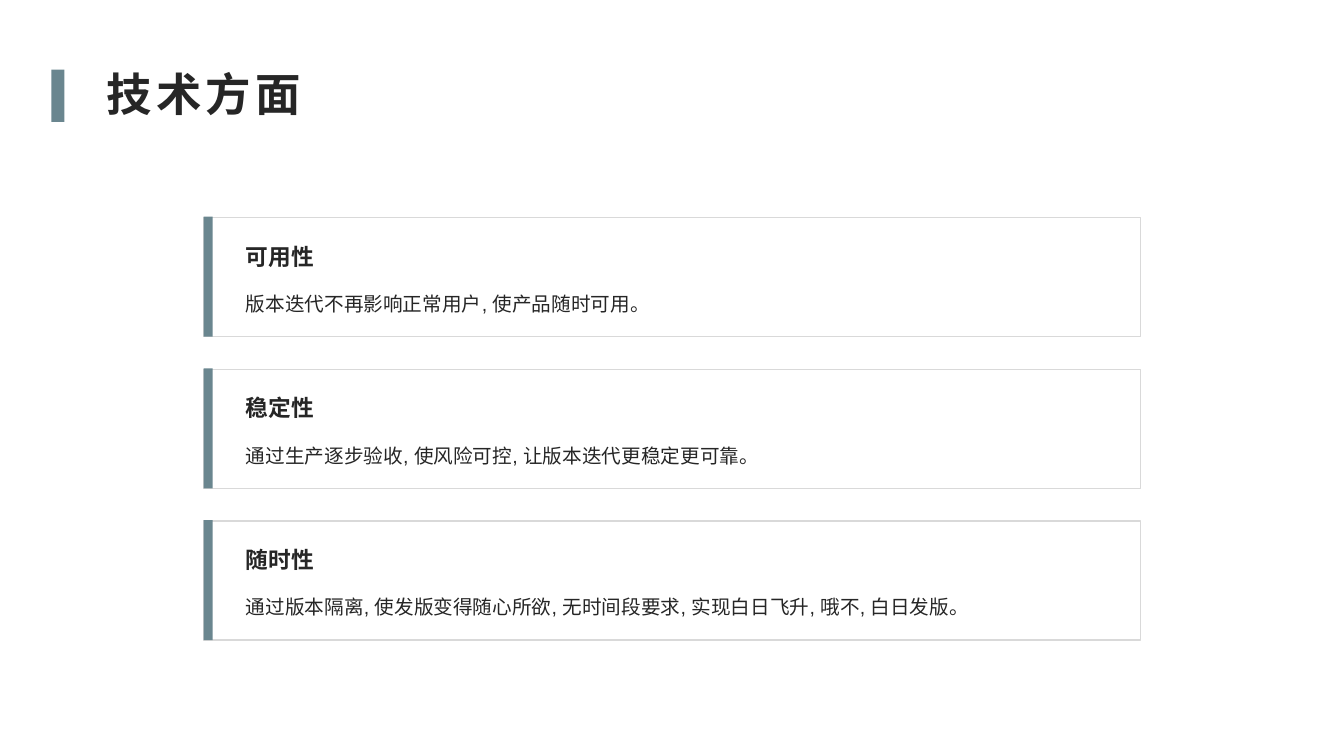
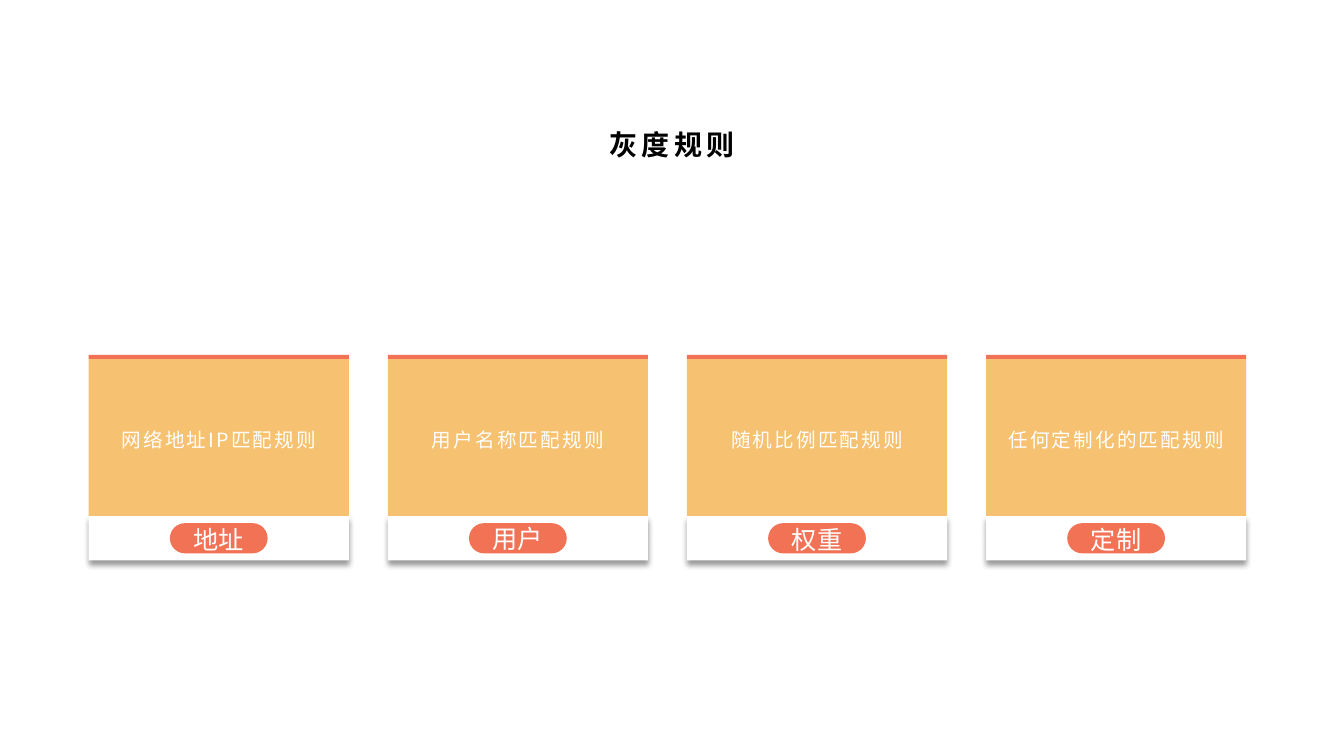
import pptx
import pptx.util
import pptx.dml.color
import pptx.enum.shapes
import pptx.enum.text
import pptx.oxml
import pptx.oxml.ns
from dataclasses import dataclass
from lxml import etree

TECH = ("技术方面", [
    ("可用性", "版本迭代不再影响正常用户, 使产品随时可用。"),
    ("稳定性", "通过生产逐步验收, 使风险可控, 让版本迭代更稳定更可靠。"),
    ("随时性", "通过版本隔离, 使发版变得随心所欲, 无时间段要求, "
               "实现白日飞升, 哦不, 白日发版。"),
])
# Each rule: label, line spacing of the label, text
RULES = ("灰度规则", [
    ("地址", 1.1, "网络地址IP匹配规则"),
    ("用户", 1.0, "用户名称匹配规则"),
    ("权重", 1.1, "随机比例匹配规则"),
    ("定制", 1.1, "任何定制化的匹配规则"),
])


@dataclass(frozen=True)
class Theme:
    """Colours, fonts and type sizes of the deck."""
    ink: str = "262626"
    black: str = "000000"
    white: str = "FFFFFF"
    edge: str = "D9D9D9"
    slate: str = "6A868F"
    sand: str = "F6C171"
    coral: str = "F27255"
    latin: str = "Arial"
    asian: str = "Noto Sans CJK SC"
    head: float = 32.4
    sub: float = 20
    name: float = 16.2
    body: float = 14
    label: float = 18


T = Theme()
WIDE, HIGH = 13.33, 7.5
SHAPE = pptx.enum.shapes.MSO_SHAPE
ALIGN = pptx.enum.text.PP_ALIGN
ANCHOR = pptx.enum.text.MSO_ANCHOR
inch = pptx.util.Inches
qn = pptx.oxml.ns.qn


def color(code):
    """Turn a hex code into a colour."""
    return pptx.dml.color.RGBColor.from_string(code)


def spread(start, end, size, count):
    """Give the starts of equal parts that fill a span with equal gaps."""
    step = (end - start - size) / (count - 1)
    return [start + i * step for i in range(count)]


def write(shape, text, size, tint, face=T.latin, bold=False, align=ALIGN.LEFT,
          line=1.0, track=0, anchor=ANCHOR.MIDDLE):
    """Put one styled paragraph into a shape and return it."""
    frame = shape.text_frame
    frame.word_wrap = True
    frame.auto_size = pptx.enum.text.MSO_AUTO_SIZE.NONE
    frame.vertical_anchor = anchor
    para = frame.paragraphs[0]
    para.text = text
    para.alignment, para.line_spacing = align, line
    para.space_before = pptx.util.Pt(0)
    font = para.font
    font.size, font.bold, font.name = pptx.util.Pt(size), bold, face
    font.color.rgb = color(tint)
    props = para._p.pPr.find(qn("a:defRPr"))
    props.set("spc", str(int(track * 100)))
    etree.SubElement(props, qn("a:ea"), typeface=T.asian)
    return para


def block(parts, box, fill, edge=None, kind=SHAPE.RECTANGLE):
    """Add a flat shape, outlined only if an edge colour is given."""
    shape = parts.add_shape(kind, *map(inch, box))
    shape.shadow.inherit = False
    shape.fill.solid()
    shape.fill.fore_color.rgb = color(fill)
    if edge:
        shape.line.color.rgb = color(edge)
        shape.line.width = pptx.util.Pt(1)
    else:
        shape.line.fill.background()
    return shape


def label(parts, box, text, size, **style):
    """Add a text box in the ink colour."""
    write(parts.add_textbox(*map(inch, box)), text, size, T.ink, **style)


def shade(shape):
    """Cast a soft shadow straight down."""
    unit = pptx.util.Pt
    shape._element.spPr.find(qn("a:effectLst")).append(pptx.oxml.parse_xml(
        f'<a:outerShdw {pptx.oxml.ns.nsdecls("a")} blurRad="{unit(4)}" '
        f'dist="{unit(3)}" dir="5400000" algn="t" rotWithShape="0">'
        f'<a:srgbClr val="{T.black}"><a:alpha val="40000"/></a:srgbClr>'
        '</a:outerShdw>'))


def start(deck, text, box, size, tint, **style):
    """Add a title-only slide and set its title."""
    slide = deck.slides.add_slide(deck.slide_layouts[5])
    title = slide.shapes.title
    title.left, title.top, title.width, title.height = map(inch, box)
    para = write(title, text, size, tint, bold=True, track=3, **style)
    return slide.shapes, para


def tech(deck):
    """Build the slide of stacked cards."""
    head, cards = TECH
    parts, para = start(deck, head, (0.96, 0.61, 11.35, 0.71), T.head, T.ink,
                        anchor=ANCHOR.TOP)
    para.space_after = pptx.util.Pt(8)
    block(parts, (0.51, 0.69, 0.13, 0.52), T.slate)
    left, wide, tall, pad = 2.02, 9.29, 1.18, 0.32
    tops = spread(2.16, 6.35, tall, len(cards))
    for top, (name, text) in zip(tops, cards):
        block(parts, (left, top, wide, tall), T.white, T.edge)
        inner = wide - 2 * pad
        label(parts, (left + pad, top + 0.18, inner, 0.4), name, T.name,
              bold=True)
        label(parts, (left + pad, top + 0.63, inner, 0.4), text, T.body,
              line=1.2)
        block(parts, (left, top - 0.01, 0.09, tall + 0.01), T.slate)


def rules(deck):
    """Build the slide of cards in a row."""
    head, cards = RULES
    wide = 6.52
    parts, _ = start(deck, head, ((WIDE - wide) / 2, 1.04, wide, 0.71), T.sub,
                     T.black, face=T.asian, align=ALIGN.CENTER, line=1.2)
    wide, top, bar, tall, foot = 2.58, 3.52, 0.04, 1.56, 0.44
    pill, thick = 0.97, 0.3
    base = top + bar + tall
    lefts = spread(0.88, 12.36, wide, len(cards))
    for left, (name, line, text) in zip(lefts, cards):
        group = parts.add_group_shape().shapes
        shade(block(group, (left, base, wide, foot), T.white))
        panel = block(group, (left, top + bar, wide, tall), T.sand)
        write(panel, text, T.body, T.white, face=T.asian, align=ALIGN.CENTER,
              line=1.2, track=1.5)
        block(group, (left, top, wide, bar), T.coral)
        tag = block(group, (left + (wide - pill) / 2,
                            base + (foot - thick) / 2, pill, thick),
                    T.coral, kind=SHAPE.ROUNDED_RECTANGLE)
        tag.adjustments[0] = 0.5
        write(tag, name, T.label, T.white, align=ALIGN.CENTER, line=line)


deck = pptx.Presentation()
deck.slide_width, deck.slide_height = inch(WIDE), inch(HIGH)
tech(deck)
rules(deck)
deck.save("out.pptx")
